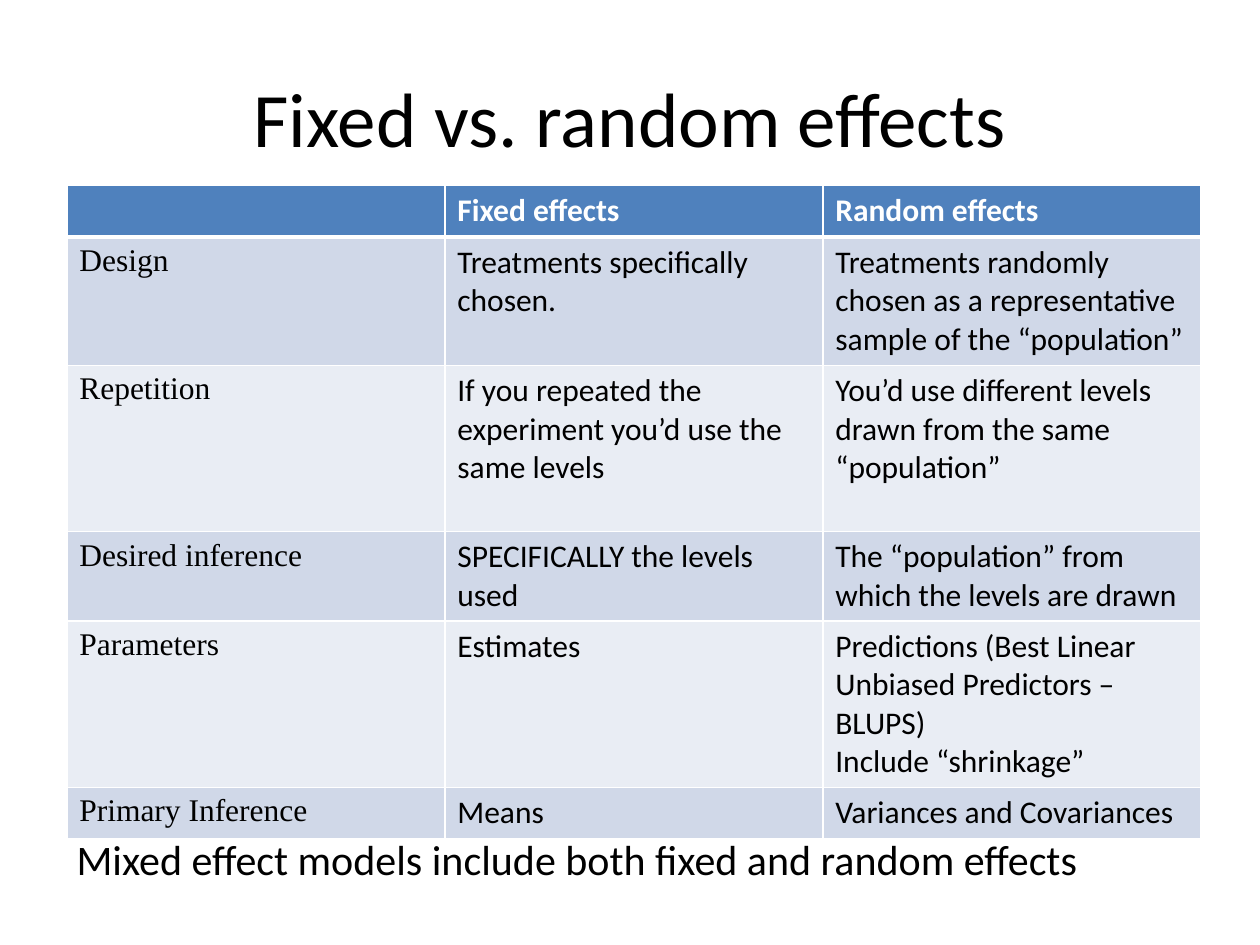
from lxml import etree
from pptx import Presentation
from pptx import util as u
from pptx.dml.color import RGBColor
from pptx.enum import text
from pptx.oxml import ns

BLACK = RGBColor(0x00, 0x00, 0x00)
WHITE = RGBColor(0xFF, 0xFF, 0xFF)
HEADER_BLUE = RGBColor(0x4F, 0x81, 0xBD)
BANDS = [RGBColor(0xE9, 0xED, 0xF4), RGBColor(0xD0, 0xD8, 0xE8)]
SANS, SERIF = "Calibri", "Times New Roman"
COLUMNS, ROWS = 100, 75

EFFECTS = [
    ("", "Fixed effects", "Random effects"),
    ("Design", "Treatments specifically chosen.",
     "Treatments randomly chosen as a representative sample of the “population”"),
    ("Repetition", "If you repeated the experiment you’d use the same levels",
     "You’d use different levels drawn from the same “population”"),
    ("Desired inference", "SPECIFICALLY the levels used",
     "The “population” from which the levels are drawn"),
    ("Parameters", "Estimates",
     "Predictions (Best Linear Unbiased Predictors – BLUPS)\nInclude “shrinkage”"),
    ("Primary Inference", "Means", "Variances and Covariances"),
]
ROW_HEIGHTS = [4.1, 10.2, 13.2, 7.1, 13.2, 4.1]


class SlideBuilder:
    def __init__(self, presentation):
        self.slide = presentation.slides.add_slide(presentation.slide_layouts[6])
        self.column = presentation.slide_width / COLUMNS
        self.row = presentation.slide_height / ROWS

    def place(self, left, top, width, height):
        return (int(left * self.column), int(top * self.row),
                int(width * self.column), int(height * self.row))

    def set_text(self, frame, content, size, name=SANS, color=BLACK, bold=False,
                 align=text.PP_ALIGN.LEFT):
        frame.text = content
        for paragraph in frame.paragraphs:
            paragraph.alignment = align
            font = paragraph.font
            font.size, font.name, font.bold = u.Pt(size), name, bold
            font.color.rgb = color

    def text_box(self, content, area, size, anchor=text.MSO_ANCHOR.TOP, **style):
        frame = self.slide.shapes.add_textbox(*self.place(*area)).text_frame
        frame.word_wrap = True
        frame.vertical_anchor = anchor
        self.set_text(frame, content, size, **style)

    def borders(self, cell, **widths):
        properties = cell._tc.get_or_add_tcPr()
        for index, side in enumerate("LRTB"):
            line = etree.Element(ns.qn(f"a:ln{side}"), w=str(u.Pt(widths.get(side, 1))))
            fill = etree.SubElement(line, ns.qn("a:solidFill"))
            etree.SubElement(fill, ns.qn("a:srgbClr"), val=str(WHITE))
            properties.insert(index, line)

    def table(self, content, area, heights, size):
        table = self.slide.shapes.add_table(
            len(content), len(content[0]), *self.place(*area)).table
        for row, height in zip(table.rows, heights):
            row.height = int(height * self.row)
        for row_index, values in enumerate(content):
            header = row_index == 0
            for column_index, value in enumerate(values):
                cell = table.cell(row_index, column_index)
                cell.fill.solid()
                cell.fill.fore_color.rgb = HEADER_BLUE if header else BANDS[row_index % 2]
                self.set_text(cell.text_frame, value, size, bold=header,
                              name=SANS if header or column_index else SERIF,
                              color=WHITE if header else BLACK)
                self.borders(cell, B=3 if header else 1, T=3 if row_index == 1 else 1)


presentation = Presentation()
presentation.slide_width, presentation.slide_height = u.Inches(10), u.Inches(7.5)
builder = SlideBuilder(presentation)
builder.text_box("Fixed vs. random effects", (5, 3, 90, 12.5), 44,
                 anchor=text.MSO_ANCHOR.MIDDLE, align=text.PP_ALIGN.CENTER)
builder.table(EFFECTS, (5.3, 14.7, 90, sum(ROW_HEIGHTS)), ROW_HEIGHTS, 18)
builder.text_box("Mixed effect models include both fixed and random effects",
                 (5.1, 65.7, 90.6, 5), 24)
presentation.save("out.pptx")
